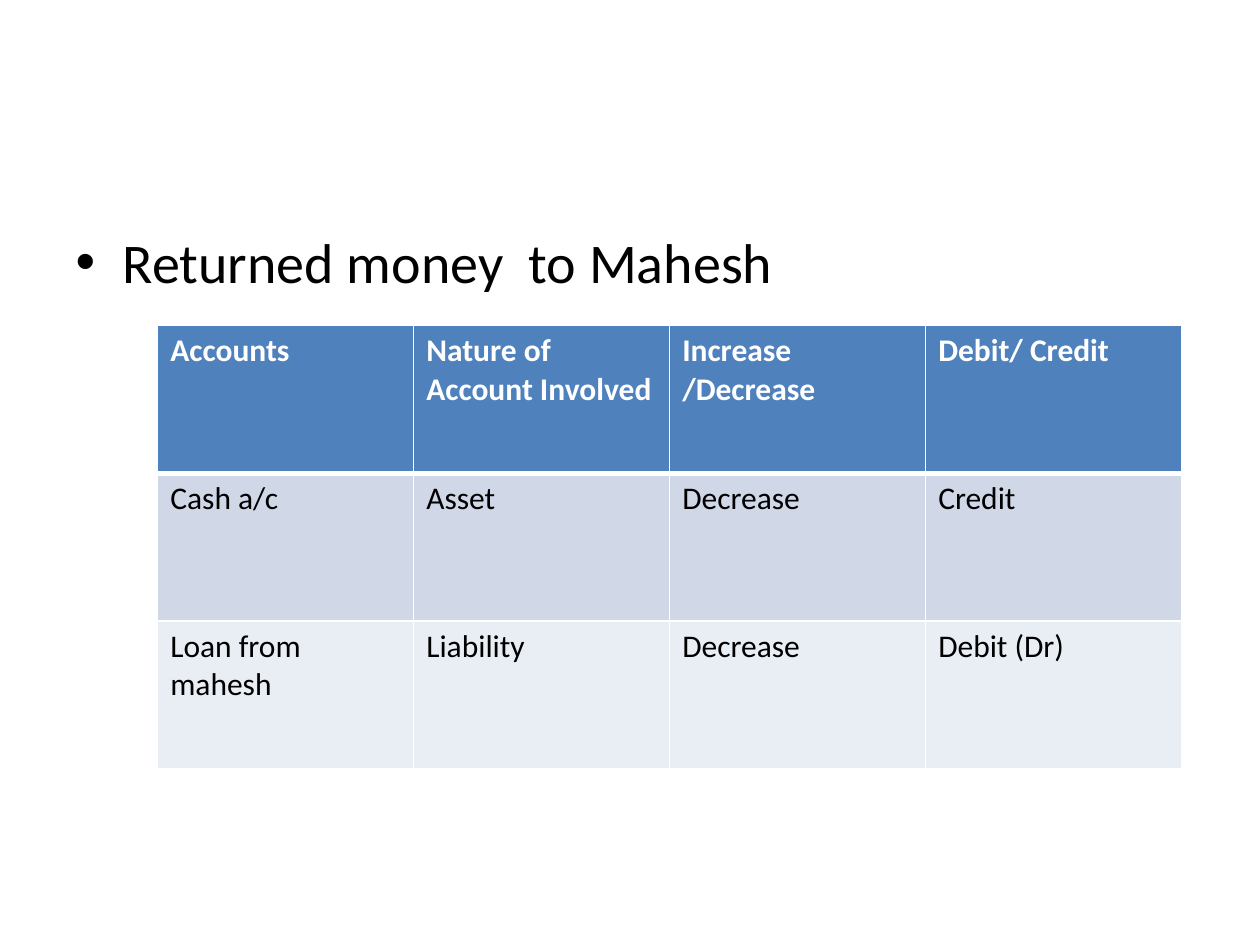
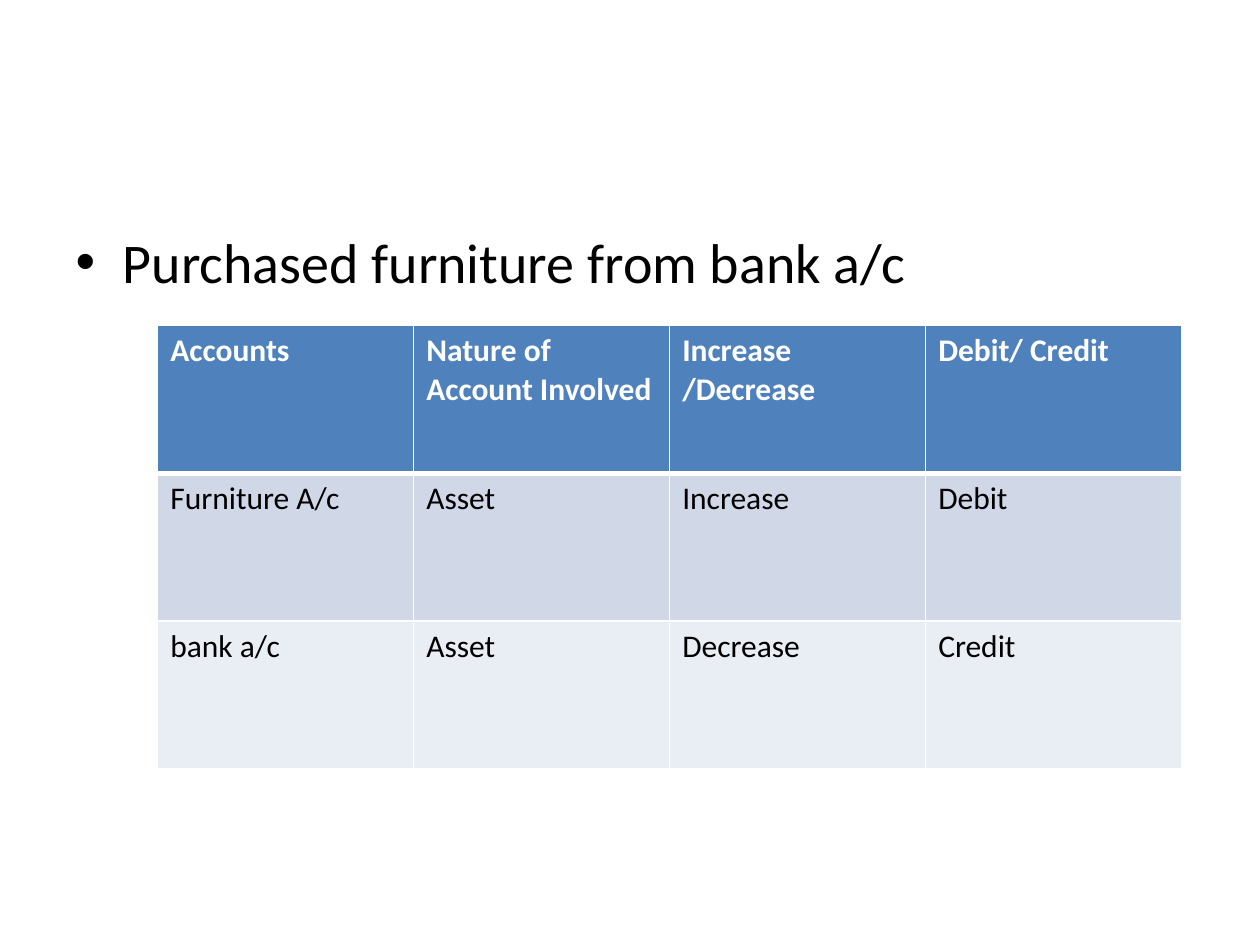
from lxml.etree import SubElement
from pptx import Presentation
from pptx.dml.color import RGBColor
from pptx.oxml.ns import qn
from pptx.util import Cm, Pt

HEADERS = ["Accounts", "Nature of Account Involved", "Increase\n/Decrease", "Debit/ Credit"]
TRANSACTIONS = [
    ("Returned money  to Mahesh", [
        ["Cash a/c", "Asset", "Decrease", "Credit"],
        ["Loan from mahesh", "Liability", "Decrease", "Debit (Dr)"],
    ]),
    ("Purchased furniture from bank a/c", [
        ["Furniture A/c", "Asset", "Increase", "Debit"],
        ["bank a/c", "Asset", "Decrease", "Credit"],
    ]),
]

FONT = "Calibri"
WHITE, BLACK = "FFFFFF", "000000"
ROW_FILLS = ["4F81BD", "D0D8E8", "E9EDF4"]
COLUMN_WIDTH, ROW_HEIGHT = Cm(5.16), Cm(2.98)
TABLE_LEFT, TABLE_TOP = Cm(3.18), Cm(6.56)
THIN, THICK = Pt(1), Pt(3)


def colour(value):
    return RGBColor.from_string(value)


def style_font(para, size, font_colour, bold=False):
    para.font.name = FONT
    para.font.size = Pt(size)
    para.font.bold = bold
    para.font.color.rgb = colour(font_colour)


def add_borders(cell, top, bottom):
    """Draw white lines; call before filling, as the fill must follow them in the XML."""
    properties = cell._tc.get_or_add_tcPr()
    for side, width in (("L", THIN), ("R", THIN), ("T", top), ("B", bottom)):
        line = SubElement(properties, qn(f"a:ln{side}"), w=str(width))
        fill = SubElement(line, qn("a:solidFill"))
        SubElement(fill, qn("a:srgbClr"), val=WHITE)


def add_statement(page, statement):
    body = page.placeholders[1]
    body.left, body.top, body.width, body.height = Cm(1.27), Cm(4.45), Cm(22.86), Cm(12.57)
    body.text_frame.text = statement
    para = body.text_frame.paragraphs[0]
    para.space_before = Pt(0)
    style_font(para, 32, BLACK)


def add_entry_table(page, entries):
    rows = [HEADERS] + entries
    table = page.shapes.add_table(
        len(rows), len(HEADERS), TABLE_LEFT, TABLE_TOP,
        COLUMN_WIDTH * len(HEADERS), ROW_HEIGHT * len(rows)).table
    for row_index, texts in enumerate(rows):
        is_header = row_index == 0
        for column_index, text in enumerate(texts):
            cell = table.cell(row_index, column_index)
            cell.text = text
            add_borders(cell, THICK if row_index == 1 else THIN, THICK if is_header else THIN)
            cell.fill.solid()
            cell.fill.fore_color.rgb = colour(ROW_FILLS[row_index])
            for para in cell.text_frame.paragraphs:
                style_font(para, 18, WHITE if is_header else BLACK, is_header)


def main():
    deck = Presentation()
    deck.slide_width, deck.slide_height = Cm(25.4), Cm(19.05)
    for statement, entries in TRANSACTIONS:
        page = deck.slides.add_slide(deck.slide_layouts[1])
        title = page.shapes.title.element
        title.getparent().remove(title)
        add_statement(page, statement)
        add_entry_table(page, entries)
    deck.save("out.pptx")


if __name__ == "__main__":
    main()
